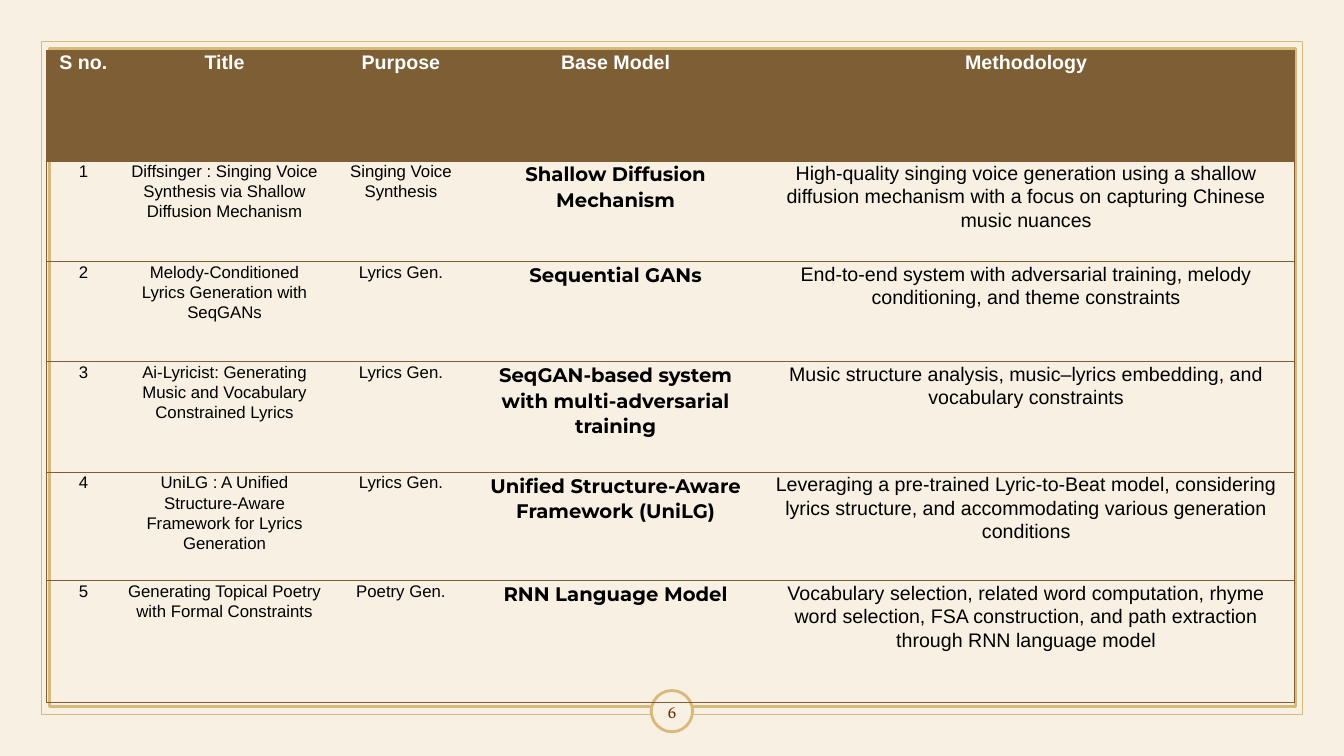
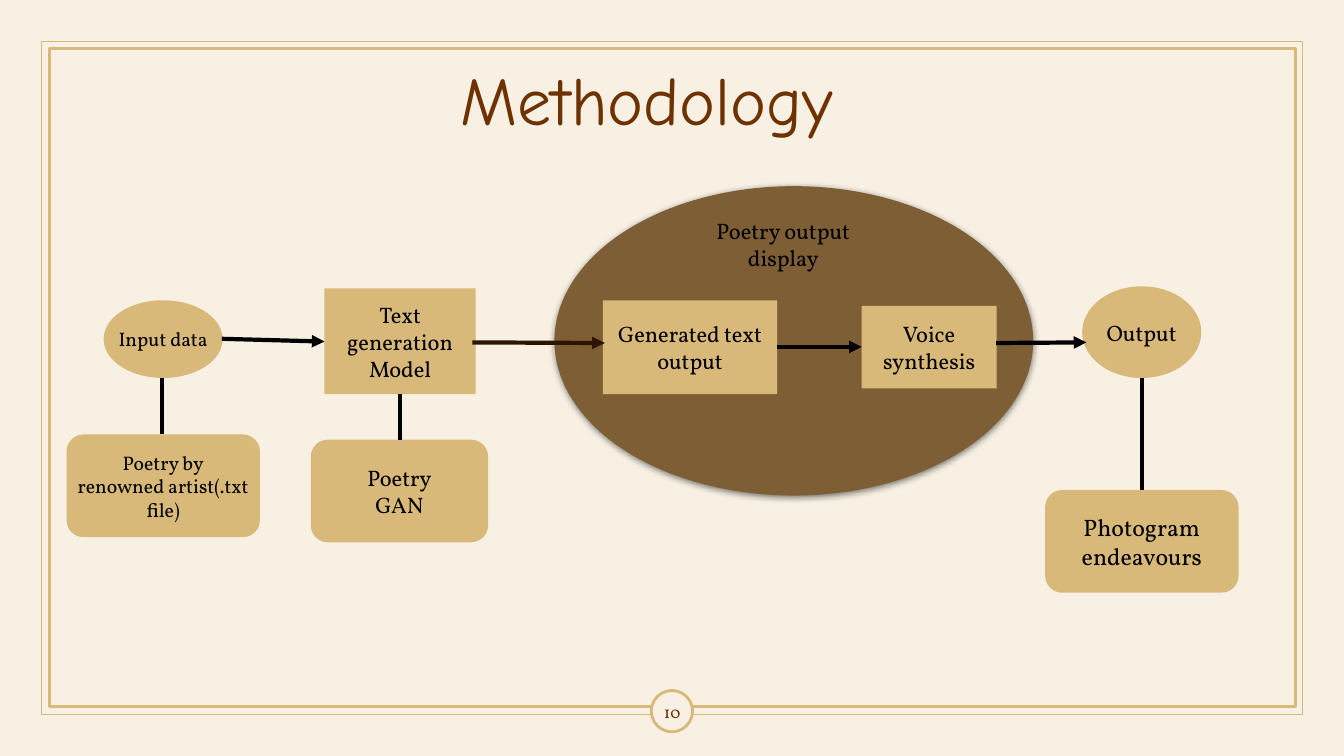
import dataclasses

import lxml.etree
import pptx
import pptx.dml.color
import pptx.enum.shapes
import pptx.enum.text
import pptx.oxml.ns
import pptx.util

Pt = pptx.util.Pt
RGB = pptx.dml.color.RGBColor.from_string
SHAPE = pptx.enum.shapes.MSO_SHAPE
ANCHOR = pptx.enum.text.MSO_ANCHOR
CENTER = pptx.enum.text.PP_ALIGN.CENTER
qn = pptx.oxml.ns.qn


@dataclasses.dataclass(frozen=True)
class Theme:
    paper: str = "F7F0E3"
    gold: str = "D8B97A"
    brown: str = "7E5E34"
    rust: str = "6D3200"
    dark: str = "2C1600"
    black: str = "000000"
    white: str = "FFFFFF"
    body: str = "Vollkorn"
    heading: str = "Comic Neue"
    table: str = "Arial"
    accent: str = "Montserrat"
    title_size: float = 48.6
    large: int = 17
    label: int = 16
    medium: int = 14
    small: int = 12
    thin: float = 0.75
    frame: int = 2
    arrow: int = 3
    leading: float = 1.07


THEME = Theme()
NO_STYLE = "{2D5ABB26-0587-4C30-8999-92F81FD0307C}"

HEADERS = ["S no.", "Title", "Purpose", "Base Model", "Methodology"]
PAPERS = [
    ["1", "Diffsinger : Singing Voice Synthesis via Shallow Diffusion Mechanism",
     "Singing Voice Synthesis", "Shallow Diffusion Mechanism",
     "High-quality singing voice generation using a shallow diffusion mechanism "
     "with a focus on capturing Chinese music nuances"],
    ["2", "Melody-Conditioned Lyrics Generation with SeqGANs",
     "Lyrics Gen.", "Sequential GANs",
     "End-to-end system with adversarial training, melody conditioning, "
     "and theme constraints"],
    ["3", "Ai-Lyricist: Generating Music and Vocabulary Constrained Lyrics",
     "Lyrics Gen.", "SeqGAN-based system with multi-adversarial training",
     "Music structure analysis, music–lyrics embedding, and vocabulary constraints"],
    ["4", "UniLG : A Unified Structure-Aware Framework for Lyrics Generation",
     "Lyrics Gen.", "Unified Structure-Aware Framework (UniLG)",
     "Leveraging a pre-trained Lyric-to-Beat model, considering lyrics structure, "
     "and accommodating various generation conditions"],
    ["5", "Generating Topical Poetry with Formal Constraints",
     "Poetry Gen.", "RNN Language Model",
     "Vocabulary selection, related word computation, rhyme word selection, "
     "FSA construction, and path extraction through RNN language model"],
]
COLUMN_WIDTHS = [53.3, 148.3, 103.7, 203, 383.5]
ROW_HEIGHTS = [79, 72, 71.5, 79, 77.5, 86.5]
RULED_ROWS = {0, 1, 3, 5}

# shape, box, lines, text size
NODES = [
    (SHAPE.FLOWCHART_ALTERNATE_PROCESS, (47.5, 310.3, 138.2, 73.4),
     ["Poetry by", "renowned artist(.txt file)"], THEME.medium),
    (SHAPE.OVAL, (74, 214.5, 85, 55.5), ["Input data"], THEME.medium),
    (SHAPE.RECTANGLE, (231.8, 206, 108, 75.6), ["Text generation Model"], THEME.label),
    (SHAPE.FLOWCHART_ALTERNATE_PROCESS, (222, 314, 126.7, 73.4),
     ["Poetry", "GAN"], THEME.label),
    (SHAPE.RECTANGLE, (430.6, 214.5, 124.6, 67), ["Generated text output"], THEME.label),
    (SHAPE.RECTANGLE, (615.5, 218.5, 96.5, 59), ["Voice synthesis"], THEME.label),
    (SHAPE.OVAL, (773, 204.5, 85, 65.5), ["Output"], THEME.label),
    (SHAPE.FLOWCHART_ALTERNATE_PROCESS, (746.5, 350, 138.2, 73.4),
     ["Photogram endeavours"], THEME.large),
]
LINKS = [
    (116, 270, 116, 310.3),
    (285.8, 314, 285.8, 281.6),
    (815.5, 270, 815.5, 350),
]
ARROWS = [
    (158.5, 242, 231.8, 244, THEME.black),
    (337.5, 244.6, 432, 245, THEME.dark),
    (555.2, 247.8, 615.5, 247.8, THEME.black),
    (711.5, 245, 776, 244.6, THEME.black),
]


def apply(target, values):
    for name, value in values.items():
        setattr(target, name, value)


def write(tf, lines, font, size, color, bold=False, spacing=None):
    for i, line in enumerate(lines):
        p = tf.paragraphs[0] if i == 0 else tf.add_paragraph()
        apply(p, {"alignment": CENTER, "line_spacing": spacing})
        r = p.add_run()
        r.text = line
        apply(r.font, {"name": font, "size": Pt(size), "bold": bold})
        r.font.color.rgb = RGB(color)


def set_frame(tf, inset=3, wrap=True, anchor=ANCHOR.MIDDLE):
    apply(tf, {"word_wrap": wrap, "vertical_anchor": anchor,
               "margin_left": Pt(inset), "margin_right": Pt(inset),
               "margin_top": 0, "margin_bottom": 0})


def add_shape(s, kind, box, fill=None, line=None, width=1):
    sp = s.shapes.add_shape(kind, *map(Pt, box))
    sp.shadow.inherit = False
    if fill:
        sp.fill.solid()
        sp.fill.fore_color.rgb = RGB(fill)
    else:
        sp.fill.background()
    if line:
        sp.line.color.rgb = RGB(line)
        sp.line.width = Pt(width)
    else:
        sp.line.fill.background()
    return sp


def add_text(s, box, lines, size, color, anchor=ANCHOR.MIDDLE):
    tf = s.shapes.add_textbox(*map(Pt, box)).text_frame
    set_frame(tf, anchor=anchor)
    write(tf, lines, THEME.body, size, color)


def add_node(s, kind, box, lines, size):
    sp = add_shape(s, kind, box, THEME.gold)
    set_frame(sp.text_frame, wrap=kind != SHAPE.OVAL)
    write(sp.text_frame, lines, THEME.body, size, THEME.black)


def add_line(s, x1, y1, x2, y2, color=THEME.black, arrow=False):
    c = s.shapes.add_connector(
        pptx.enum.shapes.MSO_CONNECTOR.STRAIGHT, *map(Pt, (x1, y1, x2, y2)))
    c.line.color.rgb = RGB(color)
    c.line.width = Pt(THEME.arrow)
    if arrow:
        lxml.etree.SubElement(c.line._get_or_add_ln(), qn("a:tailEnd"), type="triangle")
    lxml.etree.SubElement(c.element.spPr, qn("a:effectLst"))


def add_soft_shadow(sp):
    effects = sp.element.spPr.find(qn("a:effectLst"))
    shadow = lxml.etree.SubElement(
        effects, qn("a:outerShdw"), blurRad=str(Pt(4.5)), dist=str(Pt(1.5)),
        dir="5400000", algn="t", rotWithShape="0")
    color = lxml.etree.SubElement(shadow, qn("a:srgbClr"), val=THEME.black)
    lxml.etree.SubElement(color, qn("a:alpha"), val="50000")


def add_border(cell, side):
    ln = lxml.etree.SubElement(
        cell._tc.get_or_add_tcPr(), qn(f"a:ln{side}"), w=str(Pt(THEME.thin)))
    fill = lxml.etree.SubElement(ln, qn("a:solidFill"))
    lxml.etree.SubElement(fill, qn("a:srgbClr"), val=THEME.brown)


def cell_style(row, col):
    if row == 0:
        return THEME.table, THEME.medium, THEME.white, True
    if col == 3:
        return THEME.accent, THEME.medium, THEME.black, True
    return THEME.table, THEME.medium if col == 4 else THEME.small, THEME.black, False


def format_cell(cell, row, col, text):
    sides = {"L": col == 0, "R": col == len(HEADERS) - 1,
             "T": row in RULED_ROWS, "B": row == len(PAPERS)}
    for side, ruled in sides.items():
        if ruled:
            add_border(cell, side)
    if row == 0:
        cell.fill.solid()
        cell.fill.fore_color.rgb = RGB(THEME.brown)
    else:
        cell.fill.background()
    apply(cell, {"margin_left": Pt(5), "margin_right": Pt(5),
                 "margin_top": 0, "margin_bottom": 0})
    write(cell.text_frame, [text], *cell_style(row, col), spacing=THEME.leading)


def add_paper_table(s):
    rows = [HEADERS] + PAPERS
    frame = s.shapes.add_table(
        len(rows), len(HEADERS), Pt(33), Pt(36),
        Pt(sum(COLUMN_WIDTHS)), Pt(sum(ROW_HEIGHTS)))
    table = frame.table
    apply(table, {"first_row": False, "horz_banding": False})
    table._tbl.tblPr.find(qn("a:tableStyleId")).text = NO_STYLE
    for column, width in zip(table.columns, COLUMN_WIDTHS):
        column.width = Pt(width)
    for i, (height, texts) in enumerate(zip(ROW_HEIGHTS, rows)):
        table.rows[i].height = Pt(height)
        for j, text in enumerate(texts):
            format_cell(table.cell(i, j), i, j, text)


def add_page_number(s, number):
    add_text(s, (458.6, 494, 43.2, 28.8), [number], THEME.small, THEME.rust)


def set_title(s, text):
    title = s.shapes.title
    apply(title, {"left": Pt(142), "top": Pt(37), "width": Pt(640), "height": Pt(67)})
    title.text_frame.auto_size = pptx.enum.text.MSO_AUTO_SIZE.NONE
    set_frame(title.text_frame)
    write(title.text_frame, [text], THEME.heading, THEME.title_size, THEME.rust)


def decorate_master(prs, s):
    """Draw the background and frame, then move the frame to the master."""
    master = prs.slide_master
    master.background.fill.solid()
    master.background.fill.fore_color.rgb = RGB(THEME.paper)
    parts = [
        (SHAPE.RECTANGLE, (29.5, 29.5, 900.7, 481), None, THEME.gold, 1),
        (SHAPE.RECTANGLE, (35.2, 34.5, 890, 470.3), None, THEME.gold, THEME.frame),
        (SHAPE.OVAL, (465.2, 493.2, 29.5, 29.5), THEME.paper, THEME.gold, THEME.frame),
    ]
    for part in parts:
        master.shapes.element.append(add_shape(s, *part).element)


def fill_survey(s):
    add_page_number(s, "6")
    add_paper_table(s)


def fill_methodology(s):
    set_title(s, "Methodology")
    add_page_number(s, "10")
    add_soft_shadow(add_shape(s, SHAPE.OVAL, (396, 133, 342, 221), THEME.brown))
    for node in NODES:
        add_node(s, *node)
    add_text(s, (504.5, 155, 110, 39), ["Poetry output", "display"],
             THEME.label, THEME.black, ANCHOR.TOP)
    for link in LINKS:
        add_line(s, *link)
    for arrow in ARROWS:
        add_line(s, *arrow, arrow=True)


def main():
    prs = pptx.Presentation()
    apply(prs, {"slide_width": Pt(960), "slide_height": Pt(540)})
    title_only, blank = prs.slide_layouts[5], prs.slide_layouts[6]
    survey = prs.slides.add_slide(blank)
    decorate_master(prs, survey)
    fill_survey(survey)
    fill_methodology(prs.slides.add_slide(title_only))
    prs.save("out.pptx")


if __name__ == "__main__":
    main()
